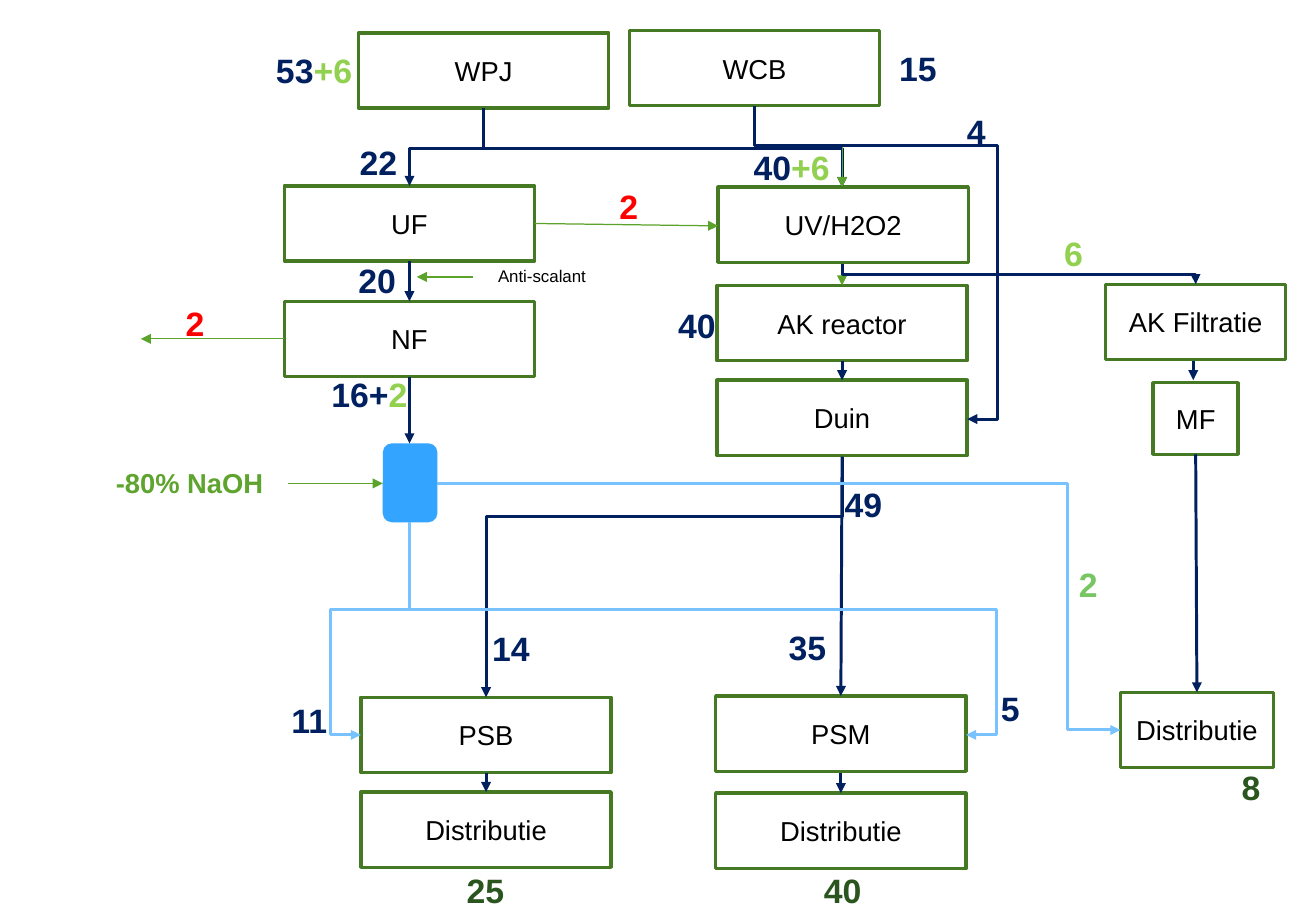
import pptx
import pptx.dml.color
import pptx.enum.shapes
import pptx.enum.text
import pptx.oxml.ns
import pptx.util
from lxml import etree

EMU_PER_PX = 9144  # 100 px to the inch
COLORS = {
    "white": "FFFFFF", "black": "000000", "navy": "002060", "red": "FF0000",
    "border": "467923", "green": "5BA32B", "lime": "92D050", "leaf": "77C662",
    "naoh": "5EA42F", "total": "2A551F", "sky": "77C2FF", "tank": "33A4FF",
}
LINE_WIDTHS = {"navy": 1.75, "sky": 1.75, "green": 0.75}
SHAPES = pptx.enum.shapes.MSO_SHAPE
CONNECTORS = pptx.enum.shapes.MSO_CONNECTOR


def px(length):
    return pptx.util.Emu(round(length * EMU_PER_PX))


def rgb(color):
    return pptx.dml.color.RGBColor.from_string(COLORS[color])


def add_child(parent, tag, **attributes):
    return etree.SubElement(parent, pptx.oxml.ns.qn(tag), attributes)


class FlowSlide:
    font = "Arial"
    box_size = 16.2
    number_size = 20

    def __init__(self, slide):
        self.shapes = slide.shapes

    def set_text(self, frame, runs, size, bold=False):
        paragraph = frame.paragraphs[0]
        paragraph.alignment = pptx.enum.text.PP_ALIGN.CENTER
        paragraph.font.name = self.font
        paragraph.font.size = pptx.util.Pt(size)
        paragraph.font.bold = bold
        for text, color in runs:
            run = paragraph.add_run()
            run.text = text
            run.font.color.rgb = rgb(color)

    def block(self, kind, left, top, width, height, fill):
        block = self.shapes.add_shape(kind, px(left), px(top), px(width), px(height))
        block.shadow.inherit = False
        block.fill.solid()
        block.fill.fore_color.rgb = rgb(fill)
        block.line.fill.background()
        return block

    def step(self, name, left, top, width=206, height=62):
        step = self.block(SHAPES.RECTANGLE, left, top, width, height, "white")
        step.line.color.rgb = rgb("border")
        step.line.width = pptx.util.Pt(2)
        step.text_frame.vertical_anchor = pptx.enum.text.MSO_ANCHOR.MIDDLE
        self.set_text(step.text_frame, [(name, "black")], self.box_size)

    def tank(self, left, top, width, height):
        self.block(SHAPES.ROUNDED_RECTANGLE, left, top, width, height, "tank")

    def label(self, left, top, width, *runs, height=44, size=number_size, bold=True):
        label = self.shapes.add_textbox(px(left), px(top), px(width), px(height))
        label.text_frame.word_wrap = False
        self.set_text(label.text_frame, runs, size, bold)

    def connect(self, kind, start, end, color):
        connector = self.shapes.add_connector(kind, *map(px, start + end))
        connector.line.color.rgb = rgb(color)
        connector.line.width = pptx.util.Pt(LINE_WIDTHS[color])
        properties = connector._element.spPr
        outline = properties.find(pptx.oxml.ns.qn("a:ln"))
        add_child(outline, "a:tailEnd", type="triangle")
        add_child(properties, "a:effectLst")
        return properties

    def arrow(self, start, end, color="navy"):
        self.connect(CONNECTORS.STRAIGHT, start, end, color)

    def bend(self, properties, *fractions):
        geometry = properties.find(pptx.oxml.ns.qn("a:prstGeom"))
        geometry.set("prst", f"bentConnector{len(fractions) + 2}")
        guides = geometry.find(pptx.oxml.ns.qn("a:avLst"))
        for number, fraction in enumerate(fractions, 1):
            add_child(guides, "a:gd", name=f"adj{number}",
                      fmla=f"val {round(fraction * 100000)}")

    def across(self, start, end, turn_x, color):
        """Elbow that leaves sideways and turns at turn_x."""
        properties = self.connect(CONNECTORS.ELBOW, start, end, color)
        self.bend(properties, (turn_x - start[0]) / (end[0] - start[0]))

    def down(self, start, end, turn_y, side_x=None, color="navy"):
        """Elbow that leaves downwards, turns at turn_y and may pass by side_x."""
        (x1, y1), (x2, y2) = start, end
        run, drop = x2 - x1, y2 - y1
        middle_x, middle_y = (x1 + x2) / 2, (y1 + y2) / 2
        rightward = run > 0
        half_width = -drop / 2 if rightward else drop / 2
        half_height = abs(run) / 2
        properties = self.connect(
            CONNECTORS.ELBOW,
            (middle_x - half_width, middle_y - half_height),
            (middle_x + half_width, middle_y + half_height), color)
        degrees = 270 if rightward else 90
        properties.find(pptx.oxml.ns.qn("a:xfrm")).set("rot", str(degrees * 60000))
        fractions = [(turn_y - y1) / drop]
        if side_x is not None:
            fractions.append((side_x - x1) / run)
        self.bend(properties, *fractions)


def main():
    deck = pptx.Presentation()
    deck.slide_width, deck.slide_height = px(1083), px(750)
    flow = FlowSlide(deck.slides.add_slide(deck.slide_layouts[6]))

    for step in [
        ("WPJ", 295, 27), ("WCB", 518, 25),
        ("UF", 234, 153), ("NF", 234, 248),
        ("UV/H2O2", 591, 154), ("AK reactor", 590, 235), ("Duin", 590, 313),
        ("PSB", 297, 574), ("Distributie", 297, 652),
        ("PSM", 589, 573), ("Distributie", 589, 653),
        ("AK Filtratie", 910, 234, 148), ("MF", 949, 315, 70, 59),
        ("Distributie", 922, 570, 126),
    ]:
        flow.step(*step)
    flow.tank(315, 365, 45, 65)

    for start, end in [
        ((337, 215), (337, 248)), ((337, 310), (337, 365)),
        ((400, 636), (400, 652)), ((692, 636), (692, 653)),
        ((693, 297), (693, 313)), ((693, 376), (692, 573)),
        ((982, 297), (982, 313)), ((984, 374), (985, 570)),
    ]:
        flow.arrow(start, end)
    for start, end in [
        ((237, 398), (315, 398)), ((389, 228), (343, 228)),
        ((234, 279), (116, 279)), ((440, 184), (591, 186)),
        ((693, 217), (693, 235)),
    ]:
        flow.arrow(start, end, "green")

    wpj_out, wcb_out, uv_out, tank_out = (398, 89), (621, 87), (693, 217), (337, 430)
    flow.down(tank_out, (297, 605), 502, 272, color="sky")
    flow.down((693, 376), (400, 574), 425)
    flow.down(wpj_out, (337, 153), 122)
    flow.down(wpj_out, (693, 154), 122)
    flow.down(wcb_out, (693, 154), 121, color="green")
    flow.down(wcb_out, (796, 345), 120, 821)
    flow.down(tank_out, (795, 605), 502, 820, color="sky")
    flow.across((360, 398), (922, 601), 879, "sky")
    flow.down(uv_out, (984, 234), 226)

    for number, left, top, color in [
        ("15", 727, 34, "navy"), ("22", 283, 112, "navy"), ("20", 282, 209, "navy"),
        ("4", 775, 86, "navy"), ("14", 392, 512, "navy"), ("11", 226, 571, "navy"),
        ("5", 803, 561, "navy"), ("49", 682, 393, "navy"), ("35", 636, 511, "navy"),
        ("40", 545, 246, "navy"), ("2", 132, 244, "red"), ("2", 489, 148, "red"),
        ("6", 855, 187, "lime"), ("2", 867, 459, "leaf"), ("8", 1001, 626, "total"),
        ("40", 665, 711, "total"), ("25", 371, 711, "total"),
    ]:
        flow.label(left, top, 57, (number, color))
    for base, extra, left, top, width in [
        ("53", "+6", 217, 36, 83), ("40", "+6", 610, 116, 83), ("16+", "2", 257, 303, 94),
    ]:
        flow.label(left, top, width, (base, "navy"), (extra, "lime"))
    flow.label(389, 214, 114, ("Anti-scalant", "black"), height=27, size=10, bold=False)
    flow.label(48, 379, 216, ("-80% NaOH", "naoh"), height=37, size=flow.box_size)

    deck.save("out.pptx")


if __name__ == "__main__":
    main()
